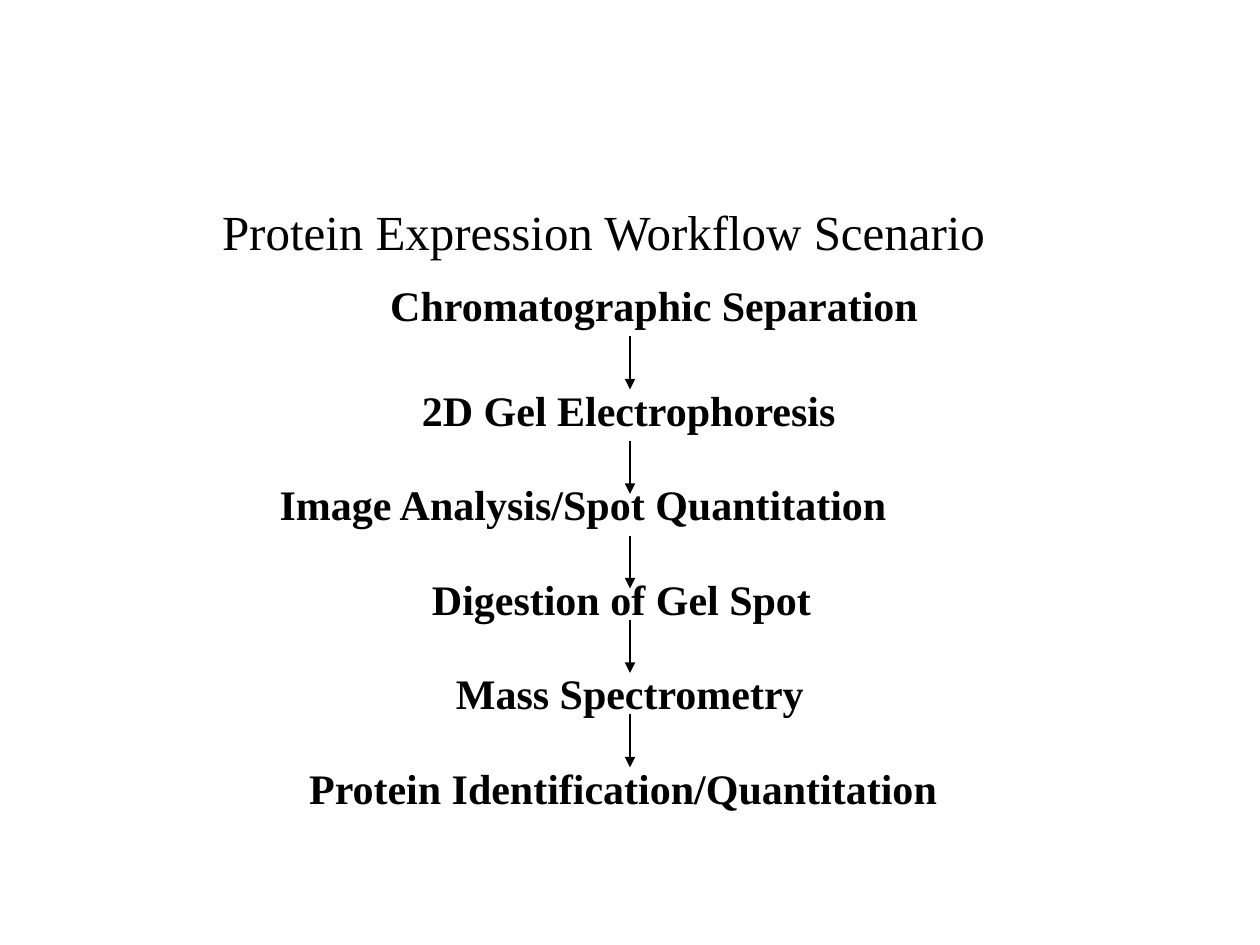
import pptx
import pptx.dml.color
import pptx.enum.shapes
import pptx.enum.text
import pptx.oxml
import pptx.util
from pptx.util import Inches

LEFT = pptx.enum.text.PP_ALIGN.LEFT
CENTER = pptx.enum.text.PP_ALIGN.CENTER
BLACK = "000000"


def color(hex_string):
    return pptx.dml.color.RGBColor.from_string(hex_string)


def write_text(frame, text, size=24, bold=True, align=LEFT, wrap=True,
               inset=0.1, anchor=pptx.enum.text.MSO_ANCHOR.TOP):
    frame.word_wrap = wrap
    frame.auto_size = pptx.enum.text.MSO_AUTO_SIZE.NONE
    frame.vertical_anchor = anchor
    frame.margin_left = Inches(inset)
    para = frame.paragraphs[0]
    para.alignment = align
    span = para.add_run()
    span.text = text
    span.font.name = "Times New Roman"
    span.font.size = pptx.util.Pt(size)
    span.font.bold = bold
    span.font.color.rgb = color(BLACK)


deck = pptx.Presentation()
deck.slide_width, deck.slide_height = Inches(10), Inches(7.5)
page = deck.slides.add_slide(deck.slide_layouts[5])

title = page.shapes.title
title.left, title.top = Inches(-0.25), Inches(1.42)
title.width, title.height = Inches(10.08), Inches(0.83)
write_text(title.text_frame, "Protein Expression Workflow Scenario", size=28,
           bold=False, align=CENTER, anchor=pptx.enum.text.MSO_ANCHOR.MIDDLE)

# text, left, top, width, height, format
centered = {"align": CENTER, "inset": 0}
steps = [
    ("Chromatographic Separation", 2.83, 2.17, 4.82, 0.5, centered),
    ("2D Gel Electrophoresis", 3.25, 3, 3.49, 0.5, {"wrap": False}),
    ("Image Analysis/Spot Quantitation", 2.12, 3.75, 5.09, 0.5, {}),
    ("Digestion of Gel Spot", 3.33, 4.5, 3.33, 0.5, {}),
    ("Mass Spectrometry", 3.52, 5.25, 2.97, 0.5, {"wrap": False}),
    ("Protein Identification/Quantitation", 2.45, 6, 5.09, 0.9, centered),
]
for text, left, top, width, height, style in steps:
    box = page.shapes.add_textbox(Inches(left), Inches(top), Inches(width), Inches(height))
    write_text(box.text_frame, text, **style)

for top in (2.67, 3.5, 4.25, 4.92, 5.67):
    arrow = page.shapes.add_connector(
        pptx.enum.shapes.MSO_CONNECTOR.STRAIGHT,
        Inches(5), Inches(top), Inches(5), Inches(top + 0.42))
    arrow.line.color.rgb = color(BLACK)
    arrow.line.width = pptx.util.Pt(0.75)
    line = arrow.line._get_or_add_ln()
    line.append(pptx.oxml.parse_xml(
        '<a:tailEnd xmlns:a="http://schemas.openxmlformats.org/drawingml/2006/main" type="triangle"/>'))
    line.addnext(pptx.oxml.parse_xml(
        '<a:effectLst xmlns:a="http://schemas.openxmlformats.org/drawingml/2006/main"/>'))

deck.save("out.pptx")
